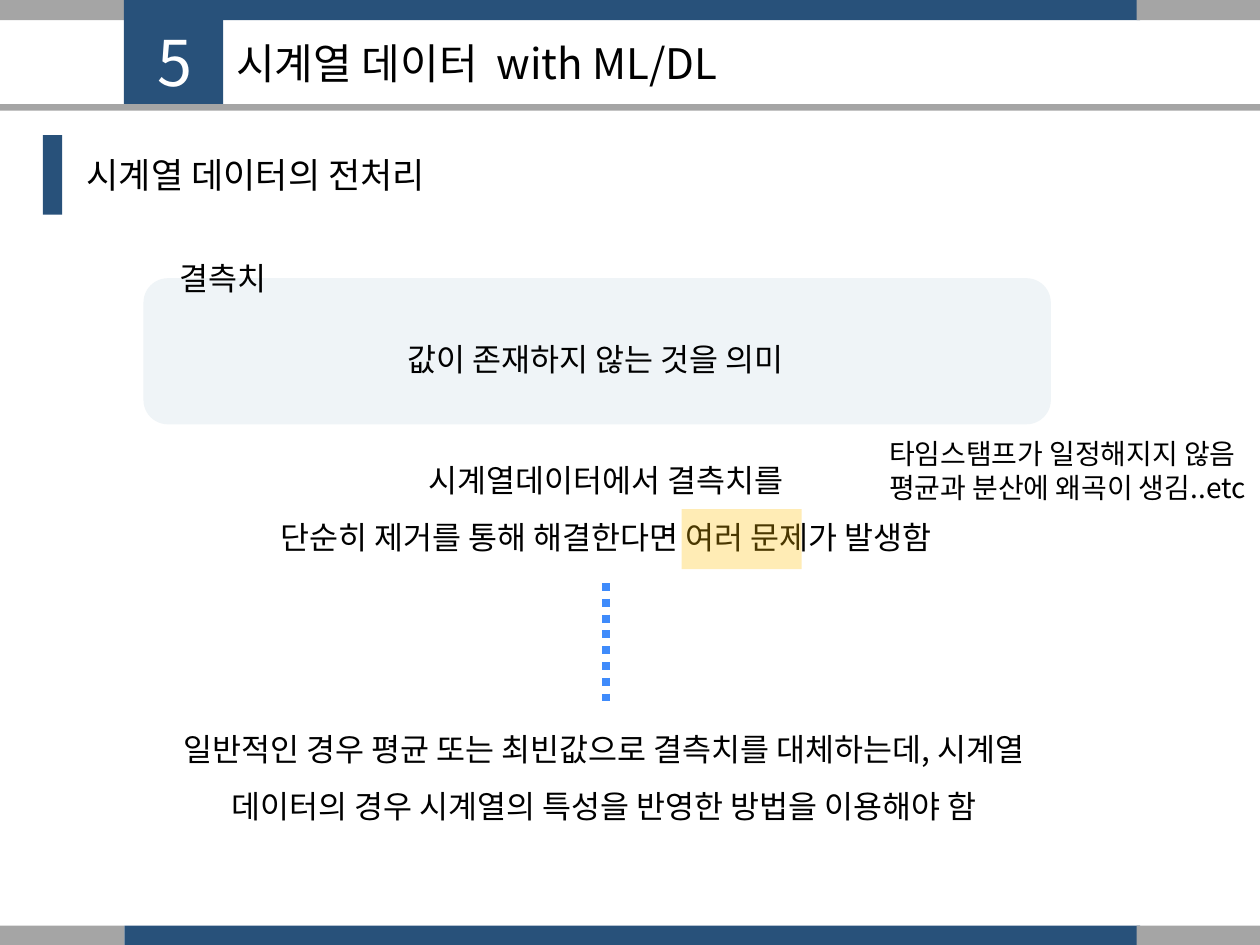
from lxml.etree import SubElement
from pptx import Presentation
from pptx.dml.color import RGBColor
from pptx.enum.dml import MSO_LINE
from pptx.enum.shapes import MSO_CONNECTOR, MSO_SHAPE
from pptx.enum.text import MSO_ANCHOR as ANCHOR, PP_ALIGN as ALIGN
from pptx.oxml.ns import qn
from pptx.util import Pt

FONT = "Noto Sans CJK KR"
NAVY, GRAY, PALE, AMBER, BLUE = "28517A", "A5A5A5", "EFF4F7", "FFC000", "3F8BFB"
BLACK, WHITE = "000000", "FFFFFF"
WIDTH, HEIGHT = 720, 540
BAND_HEIGHT = 11.5

# left, width, colour of the pieces of the top and bottom bands
BAND = [(71, 580.5, NAVY), (0, 71, GRAY), (649.5, 70.5, GRAY)]

# left, top, width, height, colour
HEADER = [
    (70.75, 0, 56.75, 59.75, NAVY),
    (0, 59.5, WIDTH, 3.75, GRAY),
    (24.5, 77.25, 11, 45.5, NAVY),
]
CARD = (82, 159, 518.5, 83.5)
HIGHLIGHT = (389.5, 291, 68.5, 34.25)
DOTS = (346.5, 333.25, 346.5, 403)

# box, size, colour, centred, anchor, paragraphs
TEXTS = [
    ((128, 10, 452, 52), 24, BLACK, False, ANCHOR.MIDDLE, ["시계열 데이터  with ML/DL"]),
    ((42.5, 84, 215.5, 32), 20, BLACK, False, ANCHOR.TOP, ["시계열 데이터의 전처리"]),
    ((82.75, 10, 32.5, 44.75), 36, WHITE, False, ANCHOR.TOP, ["5"]),
    ((82, 403, 526.5, 70), 18, BLACK, True, ANCHOR.TOP,
     ["일반적인 경우 평균 또는 최빈값으로 결측치를 대체하는데, 시계열 "
      "데이터의 경우 시계열의 특성을 반영한 방법을 이용해야 함"]),
    ((100, 250, 492.5, 70), 18, BLACK, True, ANCHOR.MIDDLE,
     ["시계열데이터에서 결측치를", "단순히 제거를 통해 해결한다면 여러 문제가 발생함"]),
    ((501, 246, 248.5, 46), 16, BLACK, False, ANCHOR.TOP,
     ["타임스탬프가 일정해지지 않음", "평균과 분산에 왜곡이 생김..etc"]),
    ((95.75, 144.5, 502, 29), 18, BLACK, False, ANCHOR.TOP, ["결측치"]),
    ((94.25, 181.5, 492.5, 36.5), 18, BLACK, True, ANCHOR.MIDDLE, ["값이 존재하지 않는 것을 의미"]),
]


def rgb(value):
    return RGBColor.from_string(value)


def add_block(s, box, color, kind=MSO_SHAPE.RECTANGLE):
    sp = s.shapes.add_shape(kind, *map(Pt, box))
    sp.shadow.inherit = False
    sp.fill.solid()
    sp.fill.fore_color.rgb = rgb(color)
    sp.line.fill.background()
    return sp


def set_opacity(sp, percent):
    color = sp.fill._xPr.find(f"{qn('a:solidFill')}/{qn('a:srgbClr')}")
    SubElement(color, qn("a:alpha"), val=str(percent * 1000))


def add_text(s, box, size, color, centred, anchor, lines):
    tf = s.shapes.add_textbox(*map(Pt, box)).text_frame
    tf.word_wrap = True
    tf.vertical_anchor = anchor
    tf.text = "\n".join(lines)
    for p in tf.paragraphs:
        if centred:
            p.alignment = ALIGN.CENTER
            p.line_spacing = 1.5
        p.font.size = Pt(size)
        p.font.name = FONT
        p.font.color.rgb = rgb(color)
        # Hangul takes the East Asian typeface
        SubElement(p.font._rPr, qn("a:ea"), typeface=FONT)


def add_dotted_line(s, ends):
    line = s.shapes.add_connector(MSO_CONNECTOR.STRAIGHT, *map(Pt, ends))
    line.line.color.rgb = rgb(BLUE)
    line.line.width = Pt(4.5)
    line.line.dash_style = MSO_LINE.ROUND_DOT  # stored as sysDot
    SubElement(line._element.spPr, qn("a:effectLst"))


def main():
    prs = Presentation()
    prs.slide_width, prs.slide_height = Pt(WIDTH), Pt(HEIGHT)
    s = prs.slides.add_slide(prs.slide_layouts[6])

    for top in (0, HEIGHT - BAND_HEIGHT + 0.5):
        for left, width, color in BAND:
            add_block(s, (left, top, width, BAND_HEIGHT), color)
    for *box, color in HEADER:
        add_block(s, box, color)

    add_block(s, CARD, PALE, MSO_SHAPE.ROUNDED_RECTANGLE)
    add_dotted_line(s, DOTS)
    for text in TEXTS:
        add_text(s, *text)

    highlight = add_block(s, HIGHLIGHT, AMBER, MSO_SHAPE.PARALLELOGRAM)
    highlight.adjustments[0] = 0
    set_opacity(highlight, 29)

    prs.save("out.pptx")


if __name__ == "__main__":
    main()
